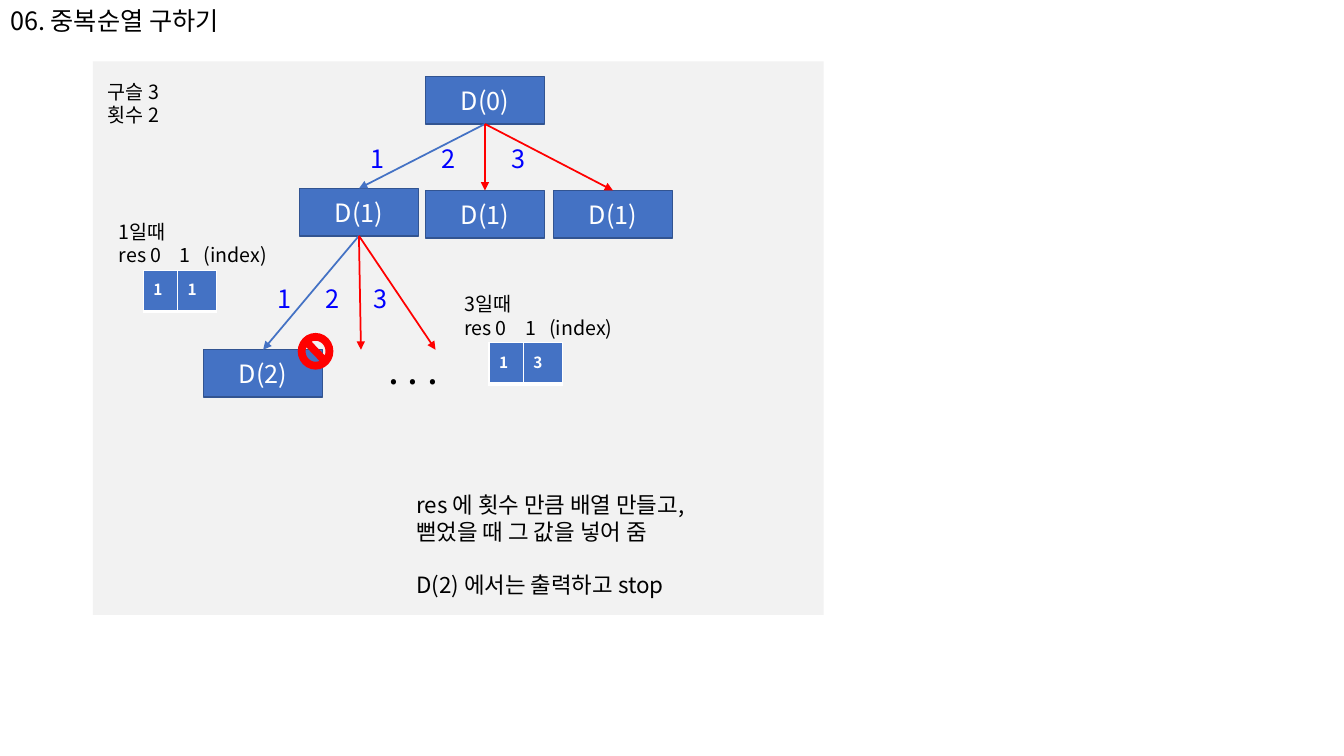
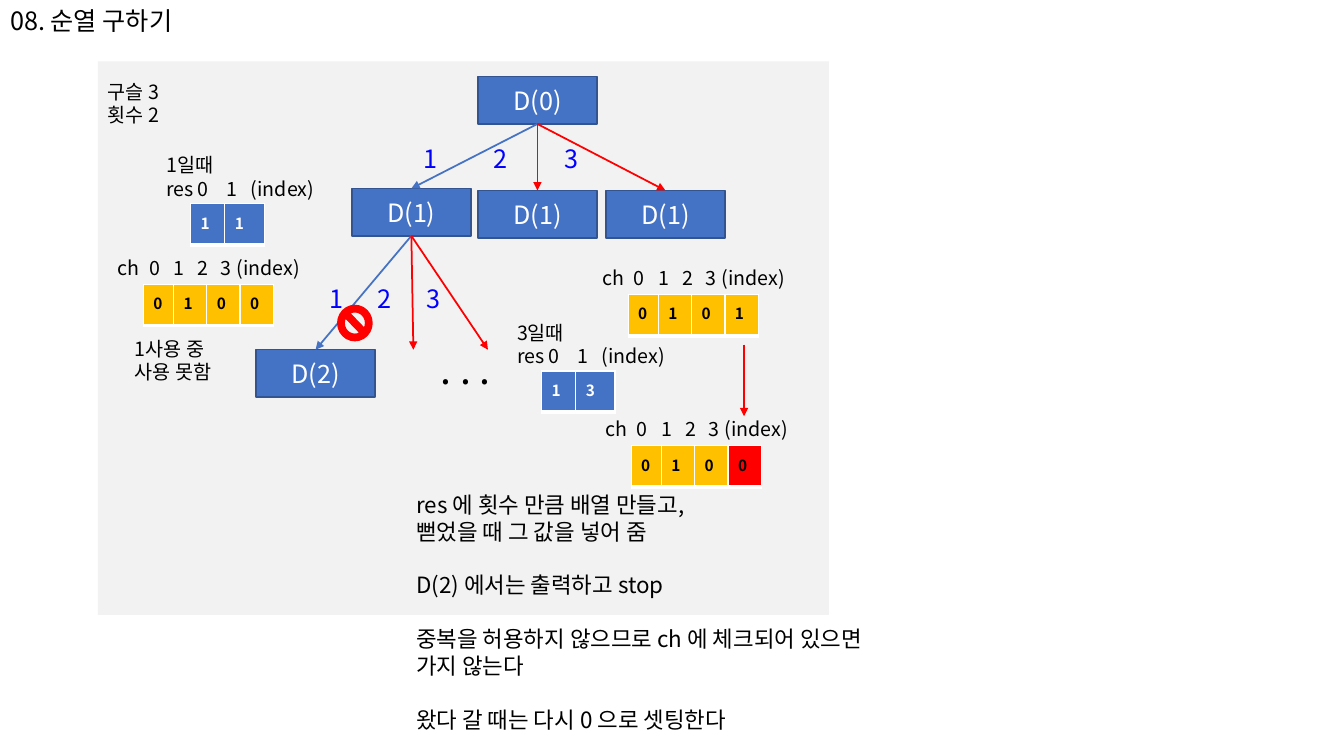
import pptx
import pptx.util
import pptx.dml.color
import pptx.enum.shapes
import pptx.enum.text
import pptx.oxml
import pptx.oxml.ns

Inches = pptx.util.Inches
Pt = pptx.util.Pt
qn = pptx.oxml.ns.qn
KINDS = pptx.enum.shapes.MSO_SHAPE
ALIGN = pptx.enum.text.PP_ALIGN
ANCHOR = pptx.enum.text.MSO_ANCHOR

FONT = "Noto Sans CJK KR"
COLORS = {
    "panel": "F2F2F2", "blue": "4472C4", "edge": "325491", "red": "FF0000",
    "label": "0000FF", "gold": "FFC000", "black": "000000", "white": "FFFFFF",
}
NODE = (1.18, 0.47)
NODES = {
    "root": ("D(0)", 4.22, 0.76), "left": ("D(1)", 2.97, 1.87),
    "mid": ("D(1)", 4.22, 1.89), "right": ("D(1)", 5.49, 1.89),
    "leaf": ("D(2)", 2.02, 3.47),
}
EDGES = [
    ("root", "left", "blue"), ("root", "mid", "red"), ("root", "right", "red"),
    ("left", "leaf", "blue"), ("left", (3.58, 3.47), "red"),
    ("left", (4.32, 3.47), "red"),
]
STEPS = [(3.58, 1.37, 0.7), (2.65, 2.76, 0.48)]
RES_TABS = (0.31, 0.6, 0.84)
CH_TABS = (0.31, 0.55, 0.79, 1.02, 1.18)
RES_COLS = (0.34, 0.39)
CH_COLS = (0.3, 0.33, 0.33, 0.33)
GIVEN = ["구슬 3", "횟수 2"]
NOTES = [["res 에 횟수 만큼 배열 만들고,", "뻗었을 때 그 값을 넣어 줌"],
         ["D(2) 에서는 출력하고 stop"]]
MORE = [["중복을 허용하지 않으므로 ch 에 체크되어 있으면", "가지 않는다"],
        ["왔다 갈 때는 다시 0 으로 셋팅한다"]]
PAGES = [
    {"title": "06. 중복순열 구하기", "panel": 0.92, "shift": 0,
     "stop": (2.96, 3.31), "notes": NOTES,
     "res": [("1일때", "11", 1.08, 2.13), ("3일때", "13", 4.51, 2.85)],
     "ch": [], "texts": [], "arrows": []},
    {"title": "08. 순열 구하기", "panel": 0.97, "shift": 0.52,
     "stop": (3.35, 3.03), "notes": NOTES + MORE,
     "res": [("1일때", "11", 1.55, 1.47), ("3일때", "13", 5.03, 3.13)],
     "ch": [("0100", 1.07, 2.49, None), ("0101", 5.88, 2.59, None),
            ("0100", 5.91, 4.09, 3)],
     "texts": [(["1사용 중", "사용 못함"], 1.24, 3.29)],
     "arrows": [((7.38, 3.42), (7.38, 4.13), "red")]},
]


def rgb(name):
    return pptx.dml.color.RGBColor.from_string(COLORS[name])


def style(para, size, color="black", bold=False):
    font = para.font
    font.name, font.size, font.bold = FONT, Pt(size), bold
    font.color.rgb = rgb(color)
    para.line_spacing = Pt(round(size * 1.2, 1))
    for run in para.runs:
        props = run.font._element if hasattr(run.font, "_element") else run._r.get_or_add_rPr()
        pptx.oxml.ns  
        east = props.makeelement(qn("a:ea"), {"typeface": FONT})
        props.append(east)


def write(slide, lines, x, y, size, color="black", tabs=(), wide=2):
    box = slide.shapes.add_textbox(Inches(x), Inches(y), Inches(wide),
                                   Inches(0.1 + len(lines) * size / 60))
    frame = box.text_frame
    frame.word_wrap = False
    frame.text = "\n".join(lines)
    for para in frame.paragraphs:
        style(para, size, color)
        if tabs:
            props = para._p.get_or_add_pPr()
            stops = props.makeelement(qn("a:tabLst"), {})
            for stop in tabs:
                stops.append(stops.makeelement(
                    qn("a:tab"), {"pos": str(Inches(stop)), "algn": "l"}))
            props.insert_element_before(stops, "a:defRPr", "a:extLst")
    return frame


def shape(slide, kind, x, y, size, fill, line=None):
    item = slide.shapes.add_shape(kind, Inches(x), Inches(y),
                                  Inches(size[0]), Inches(size[1]))
    item.shadow.inherit = False
    item.fill.solid()
    item.fill.fore_color.rgb = rgb(fill)
    if line:
        item.line.color.rgb = rgb(line)
        item.line.width = Pt(1)
    else:
        item.line.fill.background()
    return item


def arrow(slide, start, end, color):
    link = slide.shapes.add_connector(
        pptx.enum.shapes.MSO_CONNECTOR.STRAIGHT,
        *(Inches(v) for v in (*start, *end)))
    link.line.color.rgb = rgb(color)
    link.line.width = Pt(1.25)
    line = link.line._get_or_add_ln()
    line.append(line.makeelement(qn("a:tailEnd"), {"type": "triangle"}))
    props = link._element.spPr
    props.append(props.makeelement(qn("a:effectLst"), {}))
    return link


def border(cell):
    props = cell._tc.get_or_add_tcPr()
    for side, width in (("L", 1), ("R", 1), ("T", 1), ("B", 3)):
        props.append(pptx.oxml.parse_xml(
            f'<a:ln{side} {pptx.oxml.ns.nsdecls("a")} w="{Pt(width)}"><a:solidFill>'
            f'<a:srgbClr val="{COLORS["white"]}"/></a:solidFill></a:ln{side}>'))


def array(slide, values, x, y, cols, fill, ink, hot=None):
    table = slide.shapes.add_table(1, len(cols), Inches(x), Inches(y),
                                   Inches(sum(cols)), Inches(0.41)).table
    for i, (value, width) in enumerate(zip(values, cols)):
        table.columns[i].width = Inches(width)
        cell = table.cell(0, i)
        border(cell)
        cell.fill.solid()
        cell.fill.fore_color.rgb = rgb("red" if i == hot else fill)
        cell.vertical_anchor = ANCHOR.MIDDLE
        cell.text = value
        style(cell.text_frame.paragraphs[0], 11, ink, True)


def head(slide, text):
    title = slide.shapes.title
    title.left, title.top = Inches(0), Inches(0)
    title.width, title.height = Inches(6), Inches(0.4)
    frame = title.text_frame
    frame.text = text
    frame.auto_size = pptx.enum.text.MSO_AUTO_SIZE.NONE
    frame.vertical_anchor = ANCHOR.TOP
    frame.paragraphs[0].alignment = ALIGN.LEFT
    style(frame.paragraphs[0], 18)


def tree(slide, shift):
    boxes = {}
    for key, (text, x, y) in NODES.items():
        box = shape(slide, KINDS.RECTANGLE, x + shift, y, NODE, "blue", "edge")
        box.text_frame.text = text
        box.text_frame.vertical_anchor = ANCHOR.MIDDLE
        para = box.text_frame.paragraphs[0]
        para.alignment = ALIGN.CENTER
        style(para, 18, "white")
        boxes[key] = box
    for start, end, color in EDGES:
        joined = end in boxes
        spot = (0, 0) if joined else (end[0] + shift, end[1])
        link = arrow(slide, (0, 0), spot, color)
        link.begin_connect(boxes[start], 2)
        if joined:
            link.end_connect(boxes[end], 0)
    for x, y, gap in STEPS:
        for i in range(3):
            write(slide, [str(i + 1)], x + shift + i * gap, y, 18, "label", wide=0.34)
    write(slide, [". . ."], 3.75 + shift, 3.38, 28, wide=0.88)


def build(deck, page):
    slide = deck.slides.add_slide(deck.slide_layouts[5])
    head(slide, page["title"])
    shape(slide, KINDS.RECTANGLE, page["panel"], 0.61, (7.25, 5.49), "panel")
    tree(slide, page["shift"])
    shape(slide, KINDS.NO_SYMBOL, *page["stop"], (0.34, 0.35), "red", "red")
    write(slide, GIVEN, 0.97, 0.74, 14, wide=0.77)
    notes = write(slide, sum(page["notes"], []), 4.03, 4.82, 16, wide=5.25)
    starts = [group[0] for group in page["notes"][1:]]
    for para in notes.paragraphs:
        if para.text in starts:
            para.space_before = Pt(19.2)
    for text, values, x, y in page["res"]:
        write(slide, [text, "res\t0\t1\t(index)"], x, y, 14, tabs=RES_TABS)
        array(slide, values, x + 0.34, y + 0.55, RES_COLS, "blue", "white")
    for values, x, y, hot in page["ch"]:
        write(slide, ["ch\t0\t1\t2\t3\t(index)"], x, y, 14, tabs=CH_TABS, wide=2.26)
        array(slide, values, x + 0.35, y + 0.33, CH_COLS, "gold", "black", hot)
    for lines, x, y in page["texts"]:
        write(slide, lines, x, y, 14, wide=1.06)
    for start, end, color in page["arrows"]:
        arrow(slide, start, end, color)


def main():
    deck = pptx.Presentation()
    deck.slide_width, deck.slide_height = Inches(13.33), Inches(7.5)
    for page in PAGES:
        build(deck, page)
    deck.save("out.pptx")


if __name__ == "__main__":
    main()
